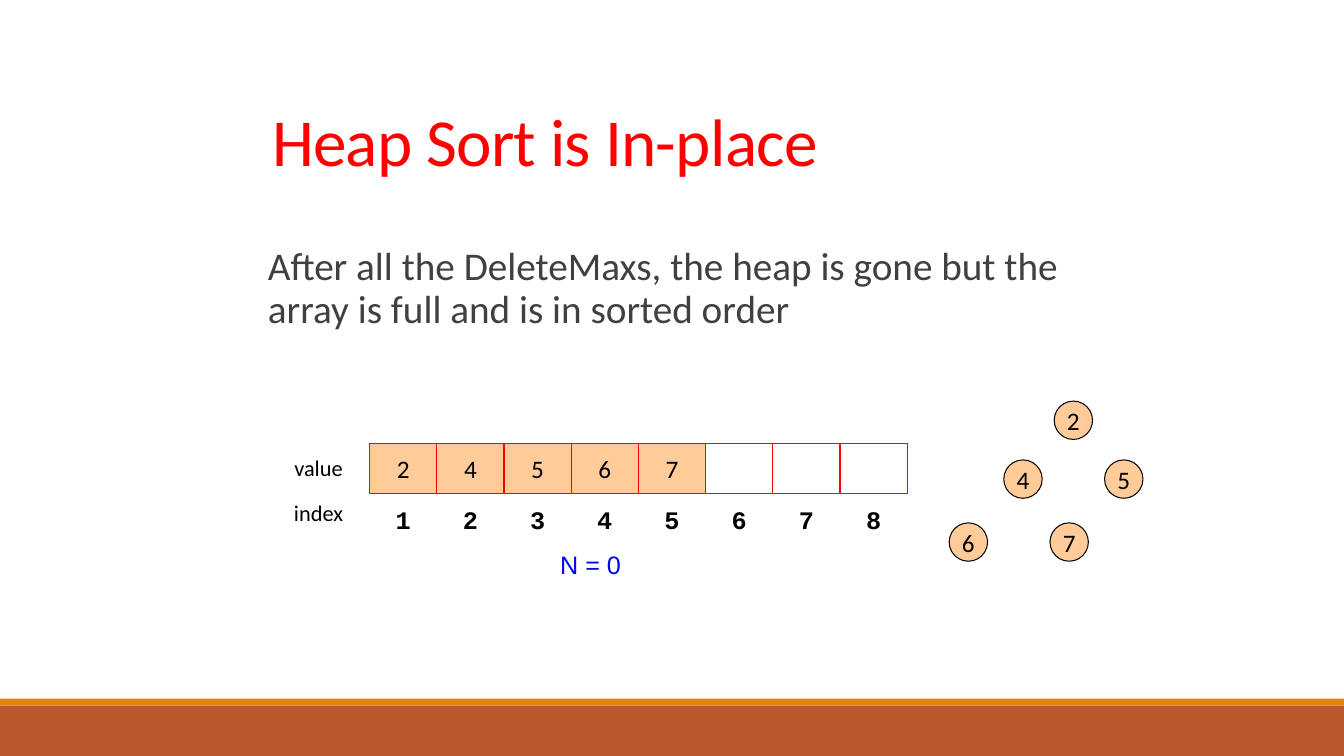
import pptx
import pptx.util
import pptx.dml.color
import pptx.enum.shapes
import pptx.enum.text

Pt = pptx.util.Pt
RECT = pptx.enum.shapes.MSO_SHAPE.RECTANGLE
OVAL = pptx.enum.shapes.MSO_SHAPE.OVAL
Align = pptx.enum.text.PP_ALIGN
Anchor = pptx.enum.text.MSO_ANCHOR
colors = {"rust": "BD582C", "orange": "E48312", "peach": "FFCC99", "red": "FF0000",
          "blue": "0000FF", "gray": "404040", "black": "000000"}

deck = pptx.Presentation()
deck.slide_width = Pt(960)
deck.slide_height = Pt(540)
slide = deck.slides.add_slide(deck.slide_layouts[6])


def rgb(name):
    return pptx.dml.color.RGBColor.from_string(colors[name])


def put(text, *, box, kind=None, fill=None, line=None, size=18, font="Calibri",
        color="black", bold=False, center=True, wrap=False, space=1, inset=7.2, track=0):
    frame = [Pt(n) for n in box]
    if kind is None:
        shape = slide.shapes.add_textbox(*frame)
    else:
        shape = slide.shapes.add_shape(kind, *frame)
        shape.shadow.inherit = False
        if fill:
            shape.fill.solid()
            shape.fill.fore_color.rgb = rgb(fill)
        else:
            shape.fill.background()
        if line:
            shape.line.color.rgb = rgb(line)
            shape.line.width = Pt(0.75)
        else:
            shape.line.fill.background()
    if not text:
        return
    body = shape.text_frame
    body.word_wrap = wrap
    body.margin_left = Pt(inset)
    body.vertical_anchor = Anchor.MIDDLE if center else Anchor.TOP
    para = body.paragraphs[0]
    para.alignment = Align.CENTER if center else Align.LEFT
    para.line_spacing = space
    run = para.add_run()
    run.text = text
    run.font.size = Pt(size)
    run.font.name = font
    run.font.bold = bold
    run.font.color.rgb = rgb(color)
    if track:
        run._r.get_or_add_rPr().set("spc", str(track))


put("", box=(0, 504, 960, 36), kind=RECT, fill="rust")
put("", box=(0, 499, 960, 5), kind=RECT, fill="orange")

put(" Heap Sort is In-place", box=(177, 76.3, 612, 90), size=48, color="red",
    center=False, wrap=True, space=0.85, track=-50)
put("After all the DeleteMaxs, the heap is gone but the array is full and is in sorted order",
    box=(177, 172.8, 594, 84), size=28, color="gray", center=False, wrap=True,
    space=0.9, inset=14.4)

put("value", box=(203, 320.4, 49, 26.6), size=16)
put("index", box=(202.5, 353, 50, 26.6), size=16)
put("N = 0", box=(393, 388.8, 73, 36), font="Arial", color="blue", center=False)

values = ["2", "4", "5", "6", "7", "", "", ""]
for i, value in enumerate(values):
    left = 264 + 48 * i
    put(value, box=(left, 316.8, 48, 36), kind=RECT, fill="peach" if value else None, line="red")
    put(str(i + 1), box=(left, 352.8, 48, 36), font="Courier New", bold=True)

spots = [(753, 286.5), (717, 328.5), (789, 328.5), (678, 373.5), (750, 373.5)]
for value, (left, top) in zip(values, spots):
    put(value, box=(left, top, 27.4, 27.4), kind=OVAL, fill="peach", line="black")

deck.save("out.pptx")
